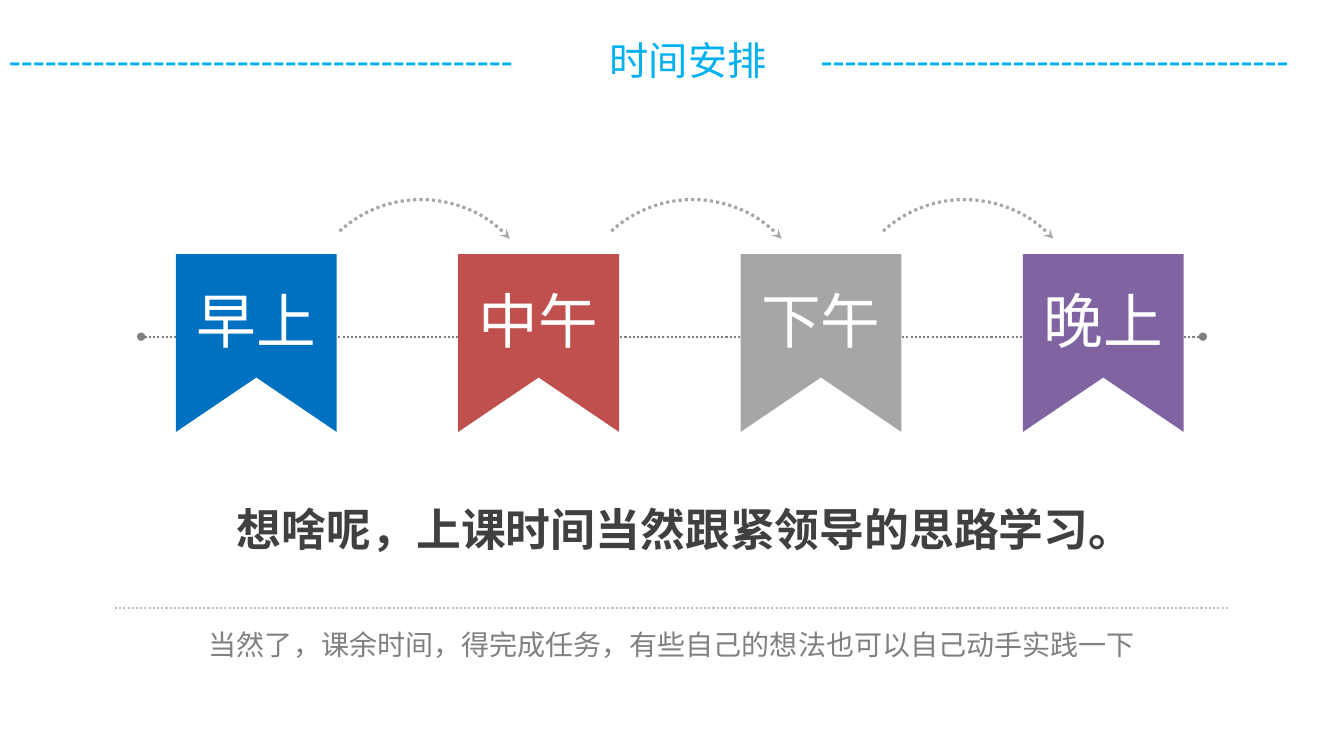
from dataclasses import dataclass

from lxml.etree import SubElement
from pptx import Presentation
from pptx.dml.color import RGBColor
from pptx.enum.dml import MSO_LINE as Dash
from pptx.enum.shapes import MSO_CONNECTOR as Link, MSO_SHAPE as Preset
from pptx.enum.text import MSO_ANCHOR as Anchor, PP_ALIGN as Align
from pptx.oxml.ns import qn
from pptx.util import Inches, Pt


@dataclass(frozen=True)
class Theme:
    latin: str = "Calibri"
    chinese: str = "Noto Sans CJK SC"
    title: str = "00B0F0"
    heading: str = "404040"
    grey: str = "808080"
    arc: str = "A6A6A6"
    rule: str = "BFBFBF"
    white: str = "FFFFFF"
    title_size: float = 28
    flag_size: float = 42.6
    heading_size: float = 32
    note_size: float = 20
    thin: float = 1.5
    thick: float = 2.25


@dataclass(frozen=True)
class Flag:
    label: str
    color: str


@dataclass(frozen=True)
class Box:
    """Left, top, width and height in grid cells."""
    left: float
    top: float
    width: float
    height: float

    def emu(self) -> tuple[int, ...]:
        return tuple(map(cells, (self.left, self.top, self.width, self.height)))


THEME = Theme()
CELL = Inches(0.1)
FLAGS = (Flag("早上", "0070C0"), Flag("中午", "C0504D"),
         Flag("下午", "A6A6A6"), Flag("晚上", "8064A2"))
FLAG_LEFT, FLAG_TOP, FLAG_STEP = 17.45, 25.2, 28
FLAG_WIDTH, FLAG_HEIGHT, NOTCH = 15.95, 17.65, 5.4
ARC_BOX, ARC_STEP, ARC_TURN = Box(29.8, 19.8, 23.9, 23.9), 26.95, 317.5
TITLE_TABS = (59.6, 80.5)


def cells(count: float) -> int:
    return round(count * CELL)


def rgb(code: str) -> RGBColor:
    return RGBColor.from_string(code)


def style_run(run, size: float, color: str, font: str = THEME.latin, bold: bool = False) -> None:
    run.font.size, run.font.name, run.font.bold = Pt(size), font, bold
    run.font.color.rgb = rgb(color)


def fill_plain(shape, color: str) -> None:
    shape.shadow.inherit = False
    shape.fill.solid()
    shape.fill.fore_color.rgb = rgb(color)
    shape.line.fill.background()


def dot_line(shape, color: str, width: float, **ends: str) -> None:
    shape.line.color.rgb = rgb(color)
    shape.line.width = Pt(width)
    shape.line.dash_style = Dash.ROUND_DOT
    outline = shape._element.spPr.get_or_add_ln()
    for end, kind in ends.items():
        SubElement(outline, qn(f"a:{end}"), type=kind)


def add_dotted_rule(shapes, left: float, right: float, top: float, color: str, **ends: str) -> None:
    rule = shapes.add_connector(Link.STRAIGHT, cells(left), cells(top), cells(right), cells(top))
    dot_line(rule, color, THEME.thin, **ends)
    SubElement(rule._element.spPr, qn("a:effectLst"))


def add_flag(shapes, flag: Flag, left: float) -> None:
    right, bottom = left + FLAG_WIDTH, FLAG_TOP + FLAG_HEIGHT
    middle = left + FLAG_WIDTH / 2
    outline = shapes.build_freeform(cells(left), cells(FLAG_TOP))
    corners = ((right, FLAG_TOP), (right, bottom), (middle, bottom - NOTCH), (left, bottom))
    outline.add_line_segments([(cells(x), cells(y)) for x, y in corners])
    fill_plain(outline.convert_to_shape(), flag.color)

    label = shapes.add_shape(Preset.RECTANGLE, *Box(middle - 7, 27.6, 14, 8.2).emu())
    fill_plain(label, flag.color)
    frame = label.text_frame
    frame.text, frame.word_wrap = flag.label, False
    frame.vertical_anchor = Anchor.MIDDLE
    frame.paragraphs[0].alignment = Align.CENTER
    style_run(frame.paragraphs[0].runs[0], THEME.flag_size, THEME.white)


def add_arc(shapes, left: float) -> None:
    box = Box(left, ARC_BOX.top, ARC_BOX.width, ARC_BOX.height)
    arc = shapes.add_shape(Preset.ARC, *box.emu())
    arc.rotation = ARC_TURN
    arc.shadow.inherit = False
    arc.fill.background()
    dot_line(arc, THEME.arc, THEME.thick, tailEnd="stealth")


def add_sentence(shapes, text: str, box: Box, size: float, color: str, bold: bool = False) -> None:
    frame = shapes.add_textbox(*box.emu()).text_frame
    frame.text, frame.word_wrap = text, True
    frame.vertical_anchor = Anchor.MIDDLE
    frame.margin_left = frame.margin_right = frame.margin_top = frame.margin_bottom = 0
    frame.paragraphs[0].alignment = Align.CENTER
    style_run(frame.paragraphs[0].runs[0], size, color, bold=bold)


def add_title(shapes, text: str) -> None:
    frame = shapes.add_textbox(*Box(-0.1, 3.1, 133.7, 5.7).emu()).text_frame
    frame.word_wrap, frame.vertical_anchor = True, Anchor.MIDDLE
    paragraph = frame.paragraphs[0]
    tabs = SubElement(paragraph._p.get_or_add_pPr(), qn("a:tabLst"))
    for stop in TITLE_TABS:
        SubElement(tabs, qn("a:tab"), pos=str(cells(stop)), algn="l")
    pieces = (("-" * 42 + "\t", THEME.latin), (text + "\t", THEME.chinese), ("-" * 39, THEME.latin))
    for piece, font in pieces:
        run = paragraph.add_run()
        run.text = piece
        style_run(run, THEME.title_size, THEME.title, font)


def main() -> None:
    deck = Presentation()
    deck.slide_width, deck.slide_height = Inches(13.33), Inches(7.5)
    shapes = deck.slides.add_slide(deck.slide_layouts[6]).shapes

    # Timeline with the four parts of the day
    add_dotted_rule(shapes, 14, 119.3, 33.4, THEME.grey, headEnd="oval", tailEnd="oval")
    for index, flag in enumerate(FLAGS):
        add_flag(shapes, flag, FLAG_LEFT + index * FLAG_STEP)

    # Message and remark, parted by a rule
    add_sentence(shapes, "想啥呢，上课时间当然跟紧领导的思路学习。",
                 Box(14, 49.7, 108, 5.4), THEME.heading_size, THEME.heading, bold=True)
    add_sentence(shapes, "当然了，课余时间，得完成任务，有些自己的想法也可以自己动手实践一下",
                 Box(11.3, 62.2, 110.7, 3.4), THEME.note_size, THEME.grey)
    add_dotted_rule(shapes, 11.4, 121.9, 60.3, THEME.rule)

    # Arrows from one part of the day to the next
    for index in range(len(FLAGS) - 1):
        add_arc(shapes, ARC_BOX.left + index * ARC_STEP)

    # Title between dashes
    add_title(shapes, "时间安排")
    deck.save("out.pptx")


main()
